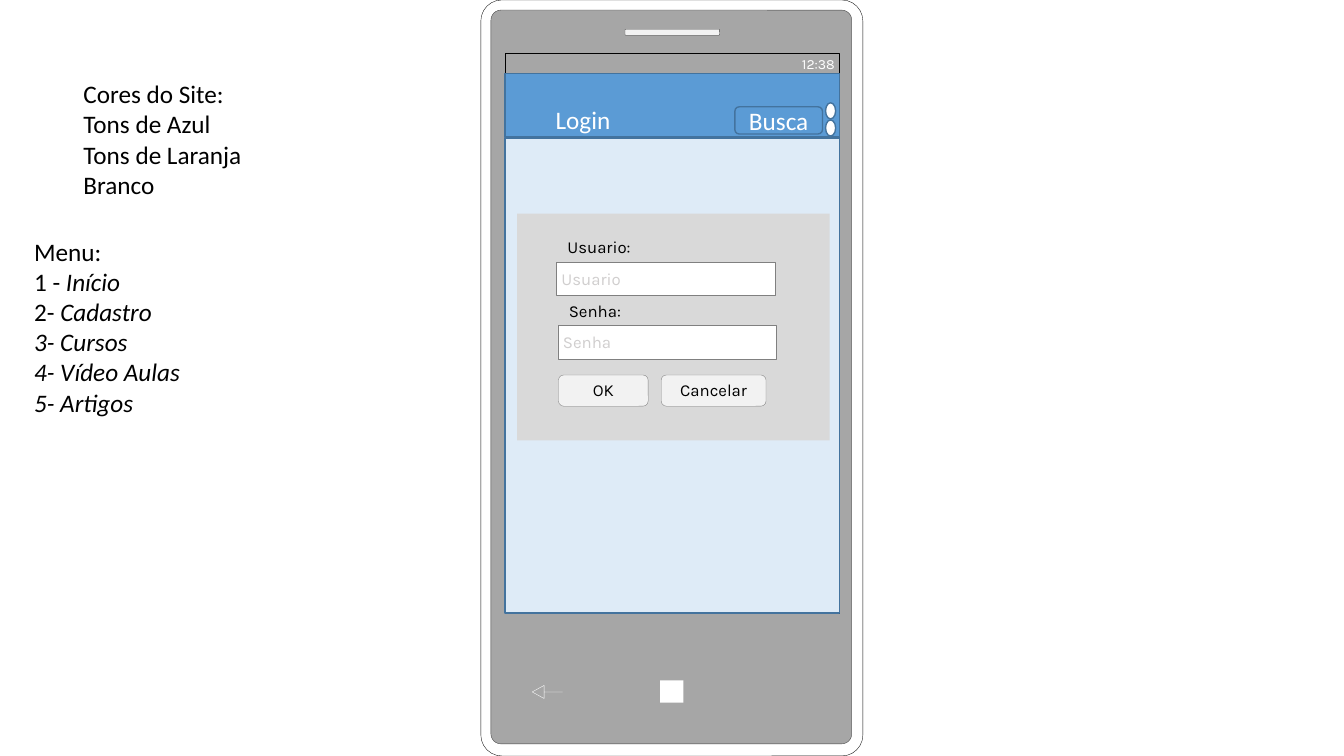
from pptx import Presentation
from pptx.dml.color import RGBColor
from pptx.enum.shapes import MSO_SHAPE
from pptx.enum.text import MSO_ANCHOR, MSO_AUTO_SIZE, PP_ALIGN
from pptx.oxml.ns import qn
from pptx.util import Inches, Pt
from lxml.etree import SubElement

CELL = Inches(0.1)
BLACK = RGBColor(0x00, 0x00, 0x00)
WHITE = RGBColor(0xFF, 0xFF, 0xFF)
EDGE = RGBColor(0x0D, 0x0D, 0x0D)
DARK_GREY = RGBColor(0x40, 0x40, 0x40)
MID_GREY = RGBColor(0x80, 0x80, 0x80)
BODY_GREY = RGBColor(0xA6, 0xA6, 0xA6)
HINT_GREY = RGBColor(0xD0, 0xCE, 0xCE)
PANEL_GREY = RGBColor(0xD9, 0xD9, 0xD9)
PALE_GREY = RGBColor(0xF2, 0xF2, 0xF2)
BLUE = RGBColor(0x5B, 0x9B, 0xD5)
DARK_BLUE = RGBColor(0x43, 0x73, 0x9E)
PALE_BLUE = RGBColor(0xDE, 0xEB, 0xF7)

SITE_COLOURS = [[("Cores do Site:", False)], [("Tons de Azul", False)],
                [("Tons de Laranja", False)], [("Branco", False)]]
MENU = [[("Menu:", False)],
        [("1 - ", False), ("Início", True)],
        [("2- ", False), ("Cadastro", True)],
        [("3- Cursos", True)], [("4- Vídeo Aulas", True)], [("5- Artigos", True)]]
LOGIN_FIELDS = ["Usuario", "Senha"]
DIALOG_BUTTONS = [("OK", 55.4, 8.9), ("Cancelar", 65.6, 10.4)]


def cells(*counts):
    """Turn grid columns and rows into slide lengths."""
    return [round(count * CELL) for count in counts]


def write(part, paragraphs, font, size, colour, align=PP_ALIGN.LEFT,
          anchor=MSO_ANCHOR.MIDDLE, insets=(1, 0.5, 1, 0.5), wrap=True):
    """Fill a part with paragraphs made of (text, italic) runs."""
    frame = part.text_frame
    frame.word_wrap = wrap
    frame.vertical_anchor = anchor
    (frame.margin_left, frame.margin_top,
     frame.margin_right, frame.margin_bottom) = cells(*insets)
    for index, pieces in enumerate(paragraphs):
        paragraph = frame.add_paragraph() if index else frame.paragraphs[0]
        paragraph.alignment = align
        for text, italic in pieces:
            run = paragraph.add_run()
            run.text = text
            run.font.name = font
            run.font.size = Pt(size)
            run.font.italic = italic
            run.font.color.rgb = colour


def block(slide, kind, place, fill=None, line=None, width=0.25, adjust=()):
    """Draw a preset shape on the grid."""
    part = slide.shapes.add_shape(kind, *cells(*place))
    part.shadow.inherit = False
    if fill is None:
        part.fill.background()
    else:
        part.fill.solid()
        part.fill.fore_color.rgb = fill
    if line is None:
        part.line.fill.background()
    else:
        part.line.color.rgb = line
        part.line.width = Pt(width)
    for index, value in enumerate(adjust):
        part.adjustments[index] = value
    return part


def note(slide, place, paragraphs, font="Calibri", size=18, **layout):
    """Add a text box that grows with its words."""
    box = slide.shapes.add_textbox(*cells(*place))
    write(box, paragraphs, font, size, BLACK, **layout)
    box.text_frame.auto_size = MSO_AUTO_SIZE.SHAPE_TO_FIT_TEXT


def phone(slide):
    """Draw the handset with its screen, keys and status bar."""
    rounded = MSO_SHAPE.ROUNDED_RECTANGLE
    block(slide, rounded, (47.7, 0, 37.9, 75), WHITE, EDGE, adjust=[0.055])
    block(slide, rounded, (48.7, 1, 35.8, 72.8), BODY_GREY, DARK_GREY, adjust=[0.028])
    block(slide, MSO_SHAPE.RECTANGLE, (50.1, 5.3, 33.2, 55.5), WHITE, BLACK)
    block(slide, MSO_SHAPE.LEFT_ARROW, (52.8, 68, 3, 1.3), line=WHITE, adjust=[0, 0.912])
    block(slide, MSO_SHAPE.RECTANGLE, (65.5, 67.5, 2.3, 2.2), WHITE)
    block(slide, rounded, (62, 2.9, 9.4, 0.6), PALE_GREY, DARK_GREY)
    status = block(slide, MSO_SHAPE.RECTANGLE, (50.1, 5.3, 33.2, 2.1), BLACK)
    tint = status.fill._xPr.find(qn("a:solidFill"))[0]
    SubElement(tint, qn("a:alpha")).set("val", "35000")
    write(status, [[("12:38", False)]], "Karla", 10, WHITE,
          align=PP_ALIGN.RIGHT, insets=(0.5, 0.5, 0.5, 0.5))


def header(slide):
    """Draw the title bar with login, search and overflow dots."""
    rounded = MSO_SHAPE.ROUNDED_RECTANGLE
    block(slide, MSO_SHAPE.RECTANGLE, (50.1, 7.3, 33.2, 6.3), BLUE, DARK_BLUE, 1)
    search = block(slide, rounded, (72.9, 10.6, 8.7, 2.7), BLUE, DARK_BLUE, 1)
    write(search, [[("Busca", False)]], "Calibri", 18, WHITE, align=PP_ALIGN.CENTER)
    login = block(slide, rounded, (54, 10.4, 13.8, 2.9), BLUE)
    write(login, [[("Login", False)]], "Calibri", 18, WHITE)
    for dot in range(2):
        block(slide, MSO_SHAPE.OVAL, (81.9, 10.2 + 1.7 * dot, 1, 1.6), WHITE, DARK_BLUE, 1)


def dialog(slide):
    """Draw the login panel with its fields and buttons."""
    block(slide, MSO_SHAPE.RECTANGLE, (51.3, 21.2, 31, 22.5), PANEL_GREY)
    for index, name in enumerate(LOGIN_FIELDS):
        left, top = 55.2 + 0.15 * index, 26 + 6.3 * index
        field = block(slide, MSO_SHAPE.RECTANGLE, (left, top, 21.7, 3.3), WHITE, MID_GREY)
        write(field, [[(name, False)]], "Karla", 12, HINT_GREY,
              insets=(0.5, 0.2, 0.5, 0.2), wrap=False)
        note(slide, (left + 0.1, top - 2.7, 20.9, 2.5), [[(name + ":", False)]],
             "Karla", 12, insets=(1, 0.2, 1, 0.3))
    for name, left, width in DIALOG_BUTTONS:
        button = block(slide, MSO_SHAPE.ROUNDED_RECTANGLE, (left, 37.2, width, 3.1),
                       PALE_GREY, MID_GREY)
        write(button, [[(name, False)]], "Karla", 12, BLACK,
              align=PP_ALIGN.CENTER, insets=(1, 0, 1, 0.1))


def main():
    """Build the mobile login mockup slide."""
    deck = Presentation()
    deck.slide_width, deck.slide_height = cells(133.33, 75)
    slide = deck.slides.add_slide(deck.slide_layouts[6])
    phone(slide)
    block(slide, MSO_SHAPE.RECTANGLE, (50.1, 13.7, 33.2, 47.1), PALE_BLUE, DARK_BLUE, 1)
    note(slide, (7.3, 7.3, 26.3, 13.1), SITE_COLOURS, anchor=MSO_ANCHOR.TOP)
    header(slide)
    note(slide, (2.4, 22.9, 26.3, 22.2), MENU, anchor=MSO_ANCHOR.TOP)
    dialog(slide)
    deck.save("out.pptx")


if __name__ == "__main__":
    main()
